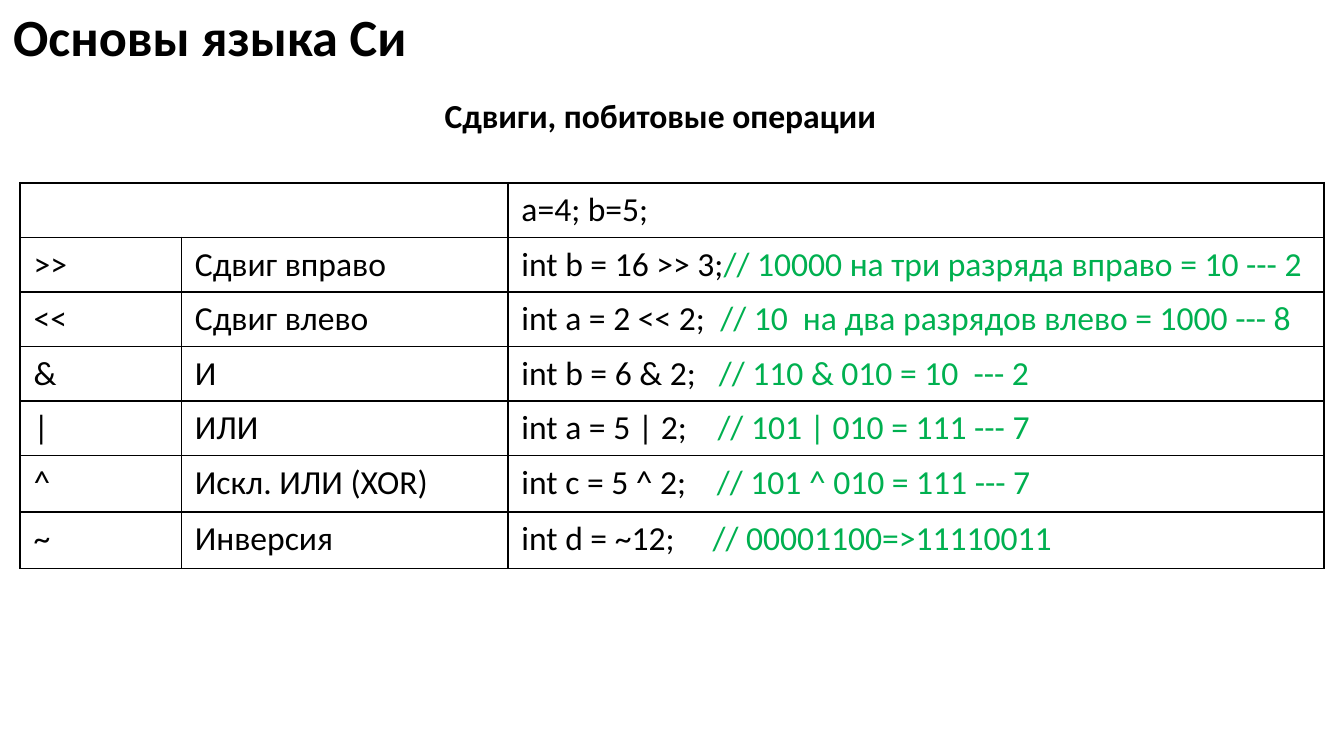
from lxml.etree import SubElement as Sub
from pptx import Presentation
from pptx.dml.color import RGBColor as Rgb
from pptx.oxml.ns import qn
from pptx.util import Inches, Pt

FONT = "Calibri"
BLACK = "000000"
GREEN = "00B050"
WIDTH, HEIGHT = 9.7, 2.87
COLS = [1.2, 2.43, WIDTH - 1.2 - 2.43]
LOW = 0.42  # the last two rows are a little taller
ROWS = [(HEIGHT - 2 * LOW) / 5] * 5 + [LOW] * 2

# Sign, meaning, code, code comment
OPS = [
    (">>", "Сдвиг вправо", "int b = 16 >> 3;", "// 10000 на три разряда вправо = 10 --- 2"),
    ("<<", "Сдвиг влево", "int a = 2 << 2;\u00a0 ", "// 10\u00a0 на два разрядов влево = 1000 --- 8"),
    ("&", "И", "int b = 6 & 2;\u00a0\u00a0 ", "// 110 & 010 = 10\u00a0 --- 2"),
    ("|", "ИЛИ", "int a = 5 | 2;\u00a0\u00a0\u00a0\u00a0", "// 101 | 010 = 111\u00a0--- 7"),
    ("^", "Искл. ИЛИ (XOR)", "int c = 5 ^ 2;\u00a0\u00a0\u00a0\u00a0", "// 101 ^ 010 = 111 --- 7"),
    ("~", "Инверсия", "int d = ~12;    \u00a0", "// 00001100=>11110011"),
]


def paint(target, color):
    target.rgb = Rgb.from_string(color)


def add_run(para, text, size=18, color=BLACK, bold=False):
    run = para.add_run()
    run.text = text
    font = run.font
    font.name, font.size, font.bold = FONT, Pt(size), bold
    paint(font.color, color)


def add_label(slide, box, text, size):
    frame = slide.shapes.add_textbox(*map(Inches, box)).text_frame
    frame.word_wrap = True
    add_run(frame.paragraphs[0], text, size, bold=True)


def style_cell(cell):
    props = cell._tc.get_or_add_tcPr()
    for side in ("lnL", "lnR", "lnT", "lnB"):
        line = Sub(props, qn("a:" + side), w=str(Pt(1)))
        fill = Sub(line, qn("a:solidFill"))
        Sub(fill, qn("a:srgbClr"), val=BLACK)
    cell.fill.background()


def add_grid(slide):
    shape = slide.shapes.add_table(
        len(ROWS), len(COLS), Inches(0.15), Inches(1.36),
        Inches(WIDTH), Inches(HEIGHT))
    table = shape.table
    table.first_row = table.horz_banding = False
    for col, width in zip(table.columns, COLS):
        col.width = Inches(width)
    for row, height in zip(table.rows, ROWS):
        row.height = Inches(height)
    for cell in table.iter_cells():
        style_cell(cell)

    # Header row
    table.cell(0, 0).merge(table.cell(0, 1))
    add_run(table.cell(0, 2).text_frame.paragraphs[0], "a=4; b=5;")

    # One row for each operator
    for row, (*texts, note) in enumerate(OPS, 1):
        for col, text in enumerate(texts):
            para = table.cell(row, col).text_frame.paragraphs[0]
            add_run(para, text)
        add_run(para, note, color=GREEN)


def main():
    deck = Presentation()
    deck.slide_width, deck.slide_height = Inches(10), Inches(10 * 9 / 16)
    slide = deck.slides.add_slide(deck.slide_layouts[6])

    # Headings
    add_label(slide, (0, -0.02, 6.86, 0.68), "Основы языка Си", 28)
    add_label(slide, (3.21, 0.66, 4.67, 0.4), "Сдвиги, побитовые операции", 18)

    # Operators
    add_grid(slide)
    deck.save("out.pptx")


main()
